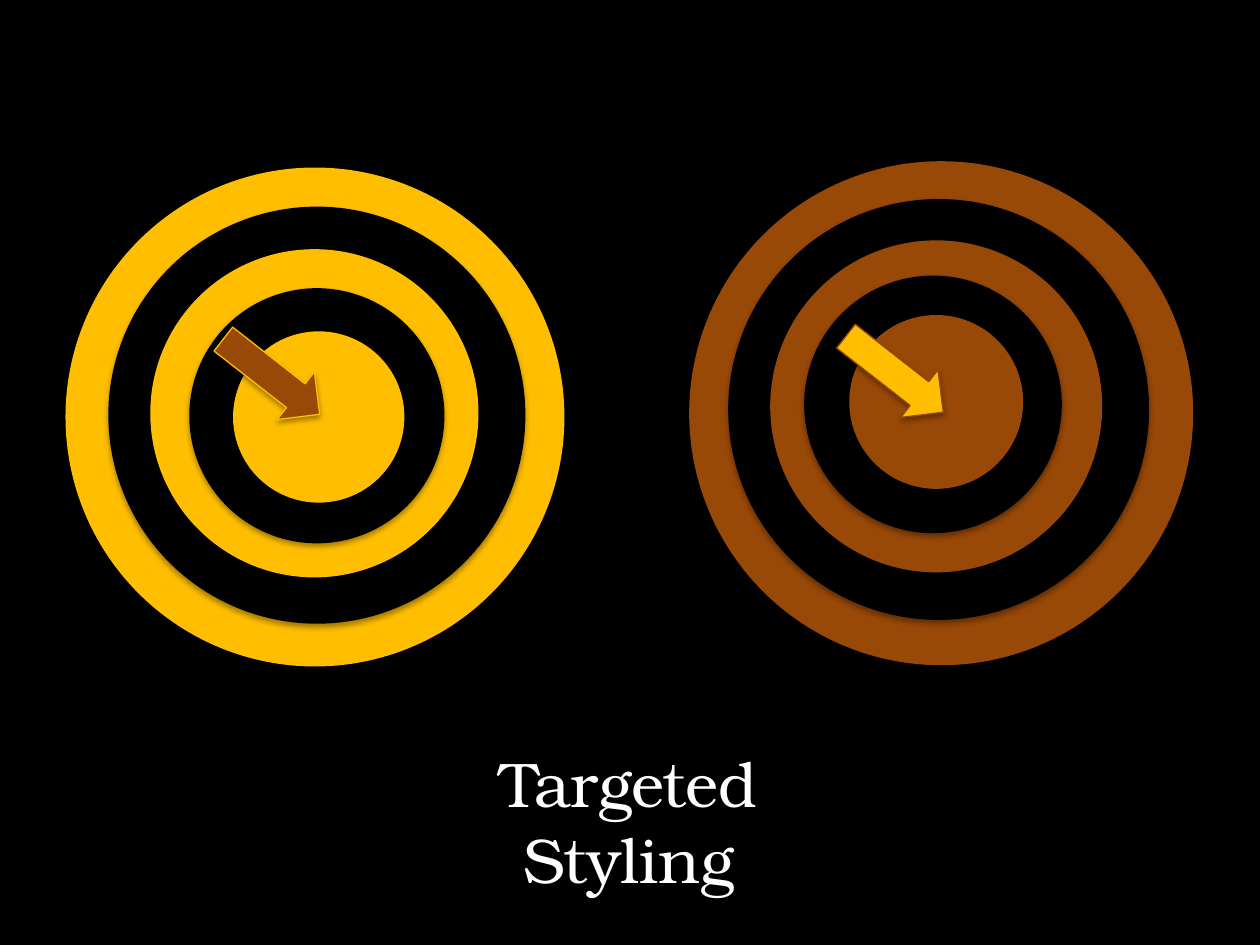
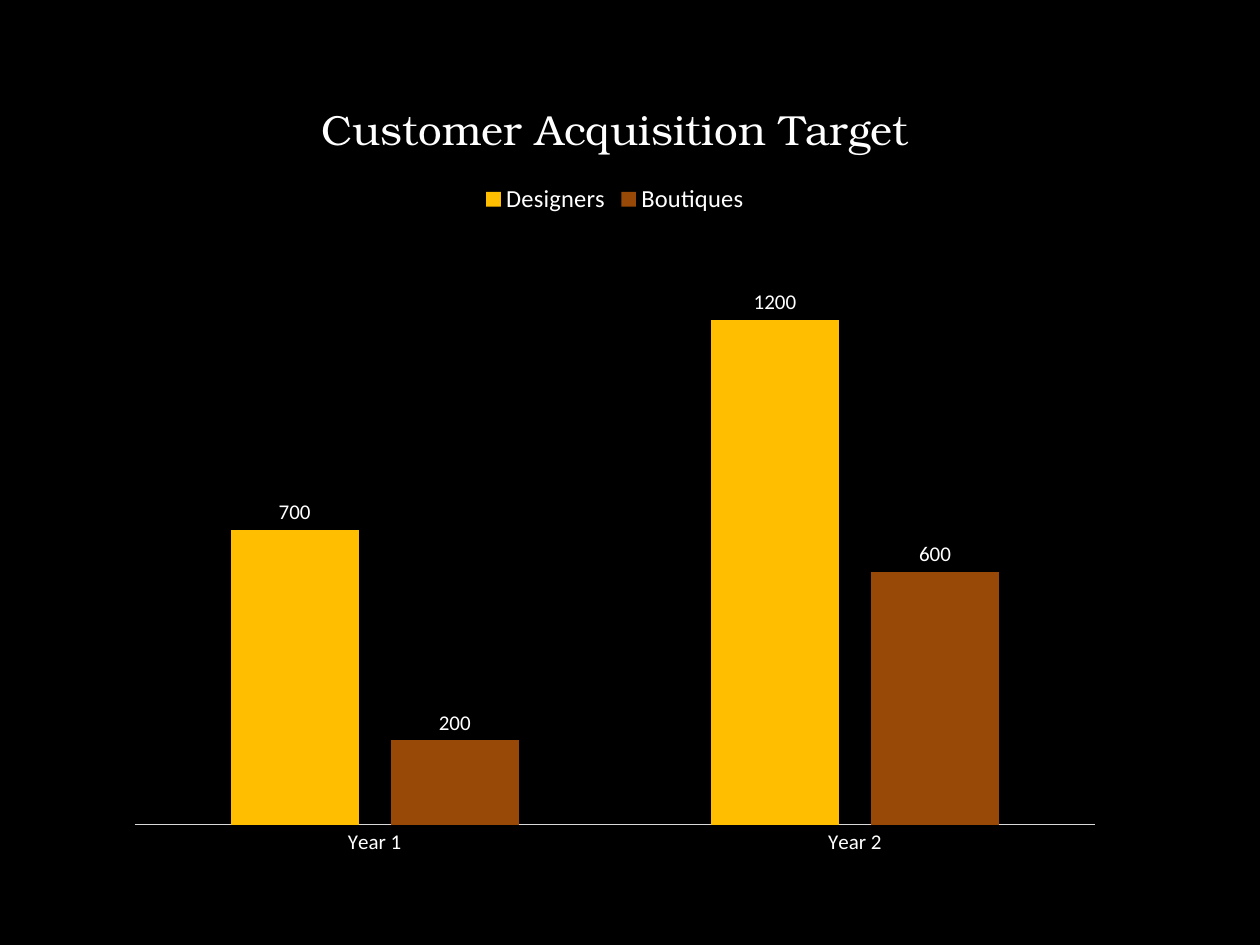
import lxml.etree
import pptx
import pptx.chart.data
import pptx.dml.color
import pptx.enum.chart
import pptx.enum.shapes
import pptx.enum.text
import pptx.oxml.ns
import pptx.util

GOLD, BROWN, BLACK, WHITE, GREY = "FFBE00", "984807", "000000", "FFFFFF", "D9D9D9"
TITLE_FONT, BODY_FONT = "TeX Gyre Bonum", "Calibri"
SHAPES = pptx.enum.shapes.MSO_SHAPE
CHARTS = pptx.enum.chart


def paint(target, color):
    """Give a fill a solid colour, or a font its colour."""
    if hasattr(target, "solid"):
        target.solid()
        target.fore_color.rgb = pptx.dml.color.RGBColor.from_string(color)
    else:
        target.color.rgb = pptx.dml.color.RGBColor.from_string(color)


def add_shadowed(page, kind, box, color):
    """Add a shape, with its box in grid cells and a soft shadow below."""
    shape = page.shapes.add_shape(kind, *(round(n * CELL) for n in box))
    paint(shape.fill, color)
    shape.line.fill.background()
    shape.shadow.inherit = False
    effects = shape._element.spPr.find(pptx.oxml.ns.qn("a:effectLst"))
    shadow = lxml.etree.SubElement(
        effects, pptx.oxml.ns.qn("a:outerShdw"),
        blurRad="40000", dist="23000", dir="5400000", rotWithShape="0")
    tint = lxml.etree.SubElement(shadow, pptx.oxml.ns.qn("a:srgbClr"), val=BLACK)
    lxml.etree.SubElement(tint, pptx.oxml.ns.qn("a:alpha"), val="35000")
    return shape


deck = pptx.Presentation()
deck.slide_width = pptx.util.Inches(10)
deck.slide_height = pptx.util.Inches(7.5)
CELL = deck.slide_width / 100  # 100 columns by 75 rows

pages = [deck.slides.add_slide(deck.slide_layouts[6]) for _ in range(2)]
for page in pages:
    paint(page.background.fill, BLACK)
target_page, chart_page = pages

# Two targets: rings as (centre column, centre row, diameter), outermost first
targets = [
    {"color": GOLD, "accent": BROWN, "arrow": (16.7, 27.5, 9.7, 4.8),
     "rings": [(25, 33.1, 39.6), (25.15, 32.95, 33.1), (24.95, 32.8, 26.05),
               (25.15, 33, 20.25), (25.3, 33.1, 13.6)]},
    {"color": BROWN, "accent": GOLD, "arrow": (66.1, 27.3, 9.8, 4.8),
     "rings": [(74.7, 32.8, 40), (74.5, 32.5, 33.4), (74.3, 32.25, 26.35),
               (74.05, 32.1, 20.45), (74.3, 31.9, 13.8)]},
]
for target in targets:
    for index, (column, row, size) in enumerate(target["rings"]):
        box = (column - size / 2, row - size / 2, size, size)
        add_shadowed(target_page, SHAPES.OVAL, box, BLACK if index % 2 else target["color"])
    arrow = add_shadowed(target_page, SHAPES.RIGHT_ARROW, target["arrow"], target["accent"])
    arrow.rotation = 38
    paint(arrow.line.fill, target["color"])
    arrow.line.width = pptx.util.Pt(0.75)

caption = target_page.shapes.add_textbox(*(round(n * CELL) for n in (29.9, 58.6, 40, 7.1)))
caption.text_frame.word_wrap = True
para = caption.text_frame.paragraphs[0]
para.alignment = pptx.enum.text.PP_ALIGN.CENTER
span = para.add_run()
span.text = "Targeted Styling"

# Customer acquisition chart
data = pptx.chart.data.CategoryChartData()
data.categories = ["Year 1", "Year 2"]
data.add_series("Designers", (700, 1200))
data.add_series("Boutiques", (200, 600))
chart = chart_page.shapes.add_chart(
    CHARTS.XL_CHART_TYPE.COLUMN_CLUSTERED,
    *(round(n * CELL) for n in (9.1, 5.2, 79.4, 63.9)), data).chart
chart.font.name = BODY_FONT
chart.font.size = pptx.util.Pt(10)

chart.has_title = True
chart.chart_title.include_in_layout = False
title = chart.chart_title.text_frame.paragraphs[0].add_run()
title.text = "Customer Acquisition Target"

chart.has_legend = True
chart.legend.position = CHARTS.XL_LEGEND_POSITION.TOP
chart.legend.include_in_layout = False

chart.value_axis.visible = False
chart.value_axis.has_major_gridlines = False
chart.value_axis.minimum_scale = 0
years = chart.category_axis
years.major_tick_mark = years.minor_tick_mark = CHARTS.XL_TICK_MARK.NONE
paint(years.format.line.fill, GREY)
years.format.line.width = pptx.util.Pt(0.75)

plot = chart.plots[0]
for name, value in {"gap_width": 150, "overlap": -25, "vary_by_categories": False}.items():
    setattr(plot, name, value)

fonts = [
    (span.font, TITLE_FONT, 36),
    (title.font, TITLE_FONT, 24),
    (chart.legend.font, BODY_FONT, 14),
    (years.tick_labels.font, BODY_FONT, 12),
]
for series, color in zip(plot.series, (GOLD, BROWN)):
    paint(series.format.fill, color)
    series.invert_if_negative = False
    labels = series.data_labels
    labels.show_value = True
    labels.position = CHARTS.XL_LABEL_POSITION.OUTSIDE_END
    fonts.append((labels.font, BODY_FONT, 12))

for font, face, size in fonts:
    looks = {"name": face, "size": pptx.util.Pt(size), "bold": False}
    for name, value in looks.items():
        setattr(font, name, value)
    paint(font, WHITE)

deck.save("out.pptx")
